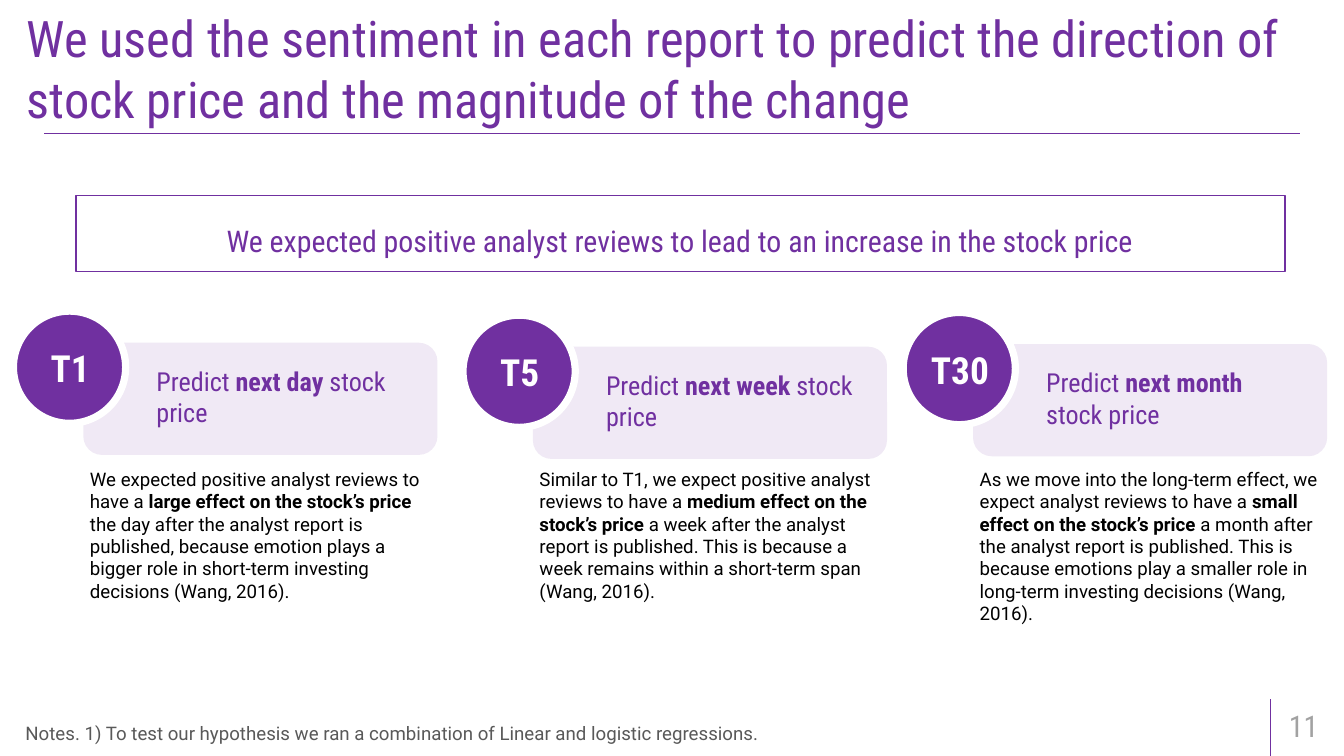
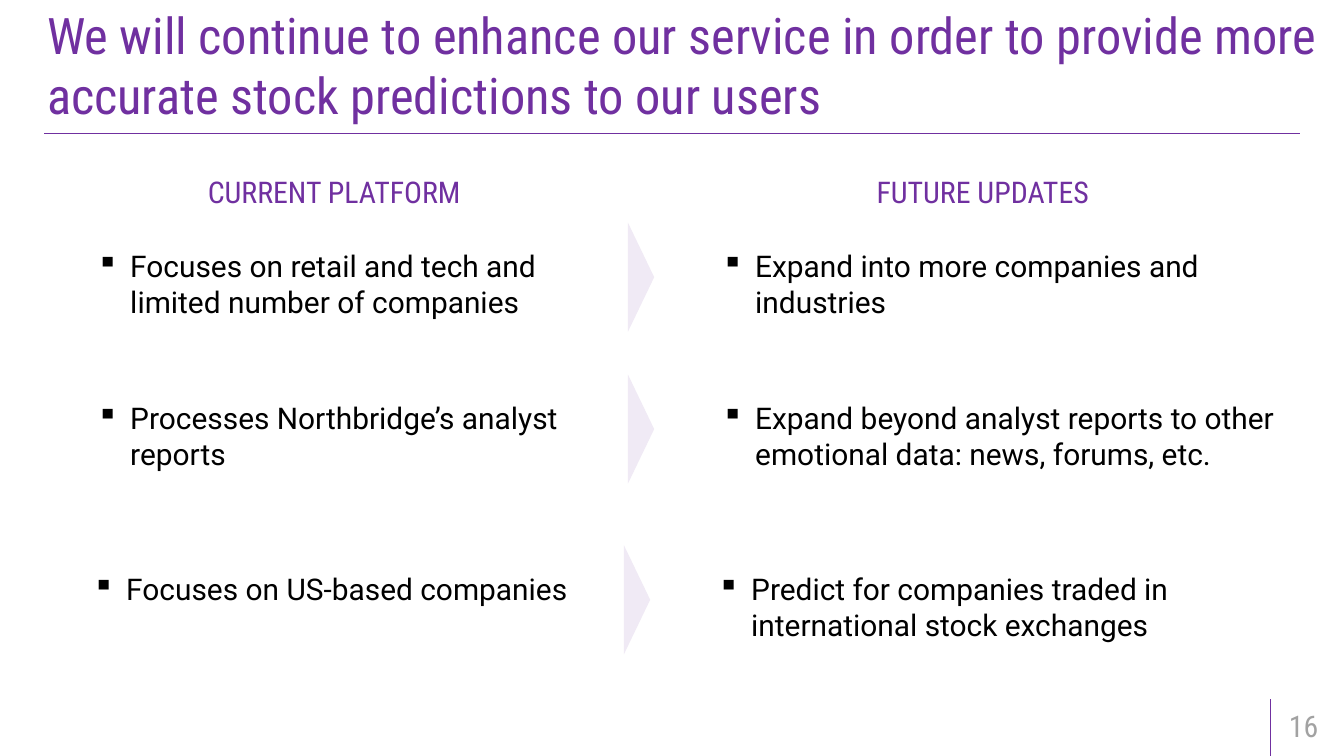
from lxml.etree import SubElement
from pptx import Presentation
from pptx.dml.color import RGBColor
from pptx.enum.shapes import MSO_CONNECTOR, MSO_SHAPE as SHAPE
from pptx.enum.text import MSO_ANCHOR as ANCHOR, MSO_AUTO_SIZE as AUTOSIZE, PP_ALIGN as ALIGN
from pptx.oxml.ns import qn
from pptx.util import Pt

PX = 9144  # one px is a hundredth of an inch
SLIDE_W, SLIDE_H = 2000, 1125
PURPLE, LILAC, WHITE, BLACK = "7030A0", "F0EAF5", "FFFFFF", "000000"
NUMBER_GREY, NOTE_GREY = "A2A2A2", "595959"
BODY, CONDENSED = "Roboto", "Roboto Condensed"
WIDE_INSETS = (18, 9, 18, 9)


def px(*lengths):
    return [round(length * PX) for length in lengths]


def rgb(hex_string):
    return RGBColor.from_string(hex_string)


def add_bullet(paragraph, char, indent):
    props = paragraph._p.get_or_add_pPr()
    props.set("marL", str(indent * PX))
    props.set("indent", str(-indent * PX))
    SubElement(props, qn("a:buChar")).set("char", char)


def write(frame, text, size=32, font=BODY, color=BLACK, bold=False, align=ALIGN.LEFT,
          anchor=ANCHOR.TOP, insets=(10, 5, 10, 5), spacing=None, bullet=None, grow=False):
    """Fill a text frame; parts between ** marks are bold."""
    frame.word_wrap = True
    frame.auto_size = AUTOSIZE.SHAPE_TO_FIT_TEXT if grow else AUTOSIZE.NONE
    frame.vertical_anchor = anchor
    (frame.margin_left, frame.margin_top,
     frame.margin_right, frame.margin_bottom) = px(*insets)
    paragraph = frame.paragraphs[0]
    paragraph.alignment = align
    if spacing:
        paragraph.line_spacing = spacing
    if bullet:
        add_bullet(paragraph, bullet, 50)
    for index, part in enumerate(text.split("**")):
        run = paragraph.add_run()
        run.text = part
        run.font.name = font
        run.font.size = Pt(size)
        run.font.bold = bold or index % 2 == 1
        run.font.color.rgb = rgb(color)


def add_text(slide, box, text, **style):
    write(slide.shapes.add_textbox(*px(*box)).text_frame, text, **style)


def add_shape(slide, kind, box, fill=None, line=None, line_width=1, alpha=None):
    shape = slide.shapes.add_shape(kind, *px(*box))
    shape.shadow.inherit = False
    if fill:
        shape.fill.solid()
        shape.fill.fore_color.rgb = rgb(fill)
        if alpha:
            color = shape.fill._xPr.find(qn("a:solidFill"))[0]
            SubElement(color, qn("a:alpha")).set("val", str(alpha * 1000))
    else:
        shape.fill.background()
    if line:
        shape.line.color.rgb = rgb(line)
        shape.line.width = Pt(line_width)
    else:
        shape.line.fill.background()
    return shape


def add_rule(slide, *ends):
    rule = slide.shapes.add_connector(MSO_CONNECTOR.STRAIGHT, *px(*ends))
    rule.line.color.rgb = rgb(PURPLE)
    rule.line.width = Pt(1)
    SubElement(rule._element.spPr, qn("a:effectLst"))


def new_slide(deck, title, title_box, number):
    """Title, rules and page number shared by the slides."""
    slide = deck.slides.add_slide(deck.slide_layouts[5])
    heading = slide.shapes.title
    heading.left, heading.top, heading.width, heading.height = px(*title_box)
    write(heading.text_frame, title, size=54, font=CONDENSED, color=PURPLE)
    add_rule(slide, 66, 198, 1934, 198)
    add_rule(slide, 1891, SLIDE_H, 1891, 1040)
    add_text(slide, (1900, 1049, 99, 60), number, font=CONDENSED, color=NUMBER_GREY,
             anchor=ANCHOR.MIDDLE, insets=WIDE_INSETS)
    return slide


def add_horizon(slide, left, top, label, heading, heading_width, effect, effect_height):
    """Forecast horizon: tinted card with a badge, explanation below."""
    add_shape(slide, SHAPE.ROUNDED_RECTANGLE, (left, top, 527, 167), fill=PURPLE, alpha=10)
    add_shape(slide, SHAPE.OVAL, (left - 104, top - 47, 167, 167), PURPLE, WHITE, 7.75)
    add_text(slide, (left - 82, top - 24, 125, 123), label, size=40, font=CONDENSED,
             color=WHITE, bold=True, align=ALIGN.CENTER, anchor=ANCHOR.MIDDLE)
    add_text(slide, (left + 99, top + 53, heading_width, 79), heading, size=28,
             font=CONDENSED, color=PURPLE, anchor=ANCHOR.BOTTOM)
    add_text(slide, (left, 691, 527, effect_height), effect, size=20, grow=True)


def build_prediction(deck):
    slide = new_slide(
        deck, "We used the sentiment in each report to predict the direction of stock price "
        "and the magnitude of the change", (30, 6, 1974, 123), "11")

    # Hypothesis; the deeper top inset sets the line slightly low
    hypothesis = add_shape(slide, SHAPE.RECTANGLE, (113, 291, 1799, 113),
                           line=PURPLE, line_width=1.5)
    write(hypothesis.text_frame,
          "We expected positive analyst reviews to lead to an increase in the stock price",
          font=CONDENSED, color=PURPLE, align=ALIGN.CENTER, anchor=ANCHOR.MIDDLE,
          insets=(18, 18, 18, 9), spacing=1.2)

    # Three horizons
    horizons = [
        (124, 510, "T1", "Predict **next day **stock price", 393,
         "We expected positive analyst reviews to have a **large effect on the stock’s price "
         "**the day after the analyst report is published, because emotion plays a bigger "
         "role in short-term investing decisions (Wang, 2016).", 212),
        (793, 516, "T5", "Predict **next week **stock price", 399,
         "Similar to T1, we expect positive analyst reviews to have a **medium effect on the "
         "stock’s price** a week after the analyst report is published. This is because a "
         "week remains within a short-term span (Wang, 2016).", 212),
        (1448, 512, "T30", "Predict **next month **stock price", 364,
         "As we move into the long-term effect, we expect analyst reviews to have a **small "
         "effect on the stock’s price **a month after the analyst report is published. This "
         "is because emotions play a smaller role in long-term investing decisions "
         "(Wang, 2016).", 246),
    ]
    for horizon in horizons:
        add_horizon(slide, *horizon)

    # Footnote
    add_text(slide, (28, 1070, 1233, 44),
             "Notes. 1) To test our hypothesis we ran a combination of Linear and logistic "
             "regressions.", size=20, color=NOTE_GREY, grow=True)


def add_upgrade(slide, left, top, current, current_height, future, future_width):
    """One row: today's state, a pointer, the planned change."""
    add_text(slide, (left, top, 763, current_height), current, bullet="▪", grow=True)
    add_text(slide, (left + 930, top, future_width, 118), future, bullet="▪", grow=True)
    pointer = add_shape(slide, SHAPE.ISOSCELES_TRIANGLE, (left + 739, top + 29, 162, 39), LILAC)
    pointer.rotation = 90


def build_roadmap(deck):
    slide = new_slide(
        deck, "We will continue to enhance our service in order to provide more accurate "
        "stock predictions to our users", (60, 1, 1915, 123), "16")

    # Column headings
    for left, heading in ((163, "CURRENT PLATFORM"), (1128, "FUTURE UPDATES")):
        add_text(slide, (left, 223, 669, 93), heading, font=CONDENSED, color=PURPLE,
                 align=ALIGN.CENTER, anchor=ANCHOR.BOTTOM)

    # Upgrade rows
    upgrades = [
        (134, 364, "Focuses on retail and tech and limited number of companies", 118,
         "Expand into more companies and industries", 763),
        (134, 590, "Processes Northbridge’s analyst reports", 118,
         "Expand beyond analyst reports to other emotional data: news, forums, etc.", 856),
        (128, 844, "Focuses on US-based companies", 64,
         "Predict for companies traded in international stock exchanges", 887),
    ]
    for upgrade in upgrades:
        add_upgrade(slide, *upgrade)


def main():
    deck = Presentation()
    deck.slide_width, deck.slide_height = px(SLIDE_W, SLIDE_H)
    build_prediction(deck)
    build_roadmap(deck)
    deck.save("out.pptx")


if __name__ == "__main__":
    main()
